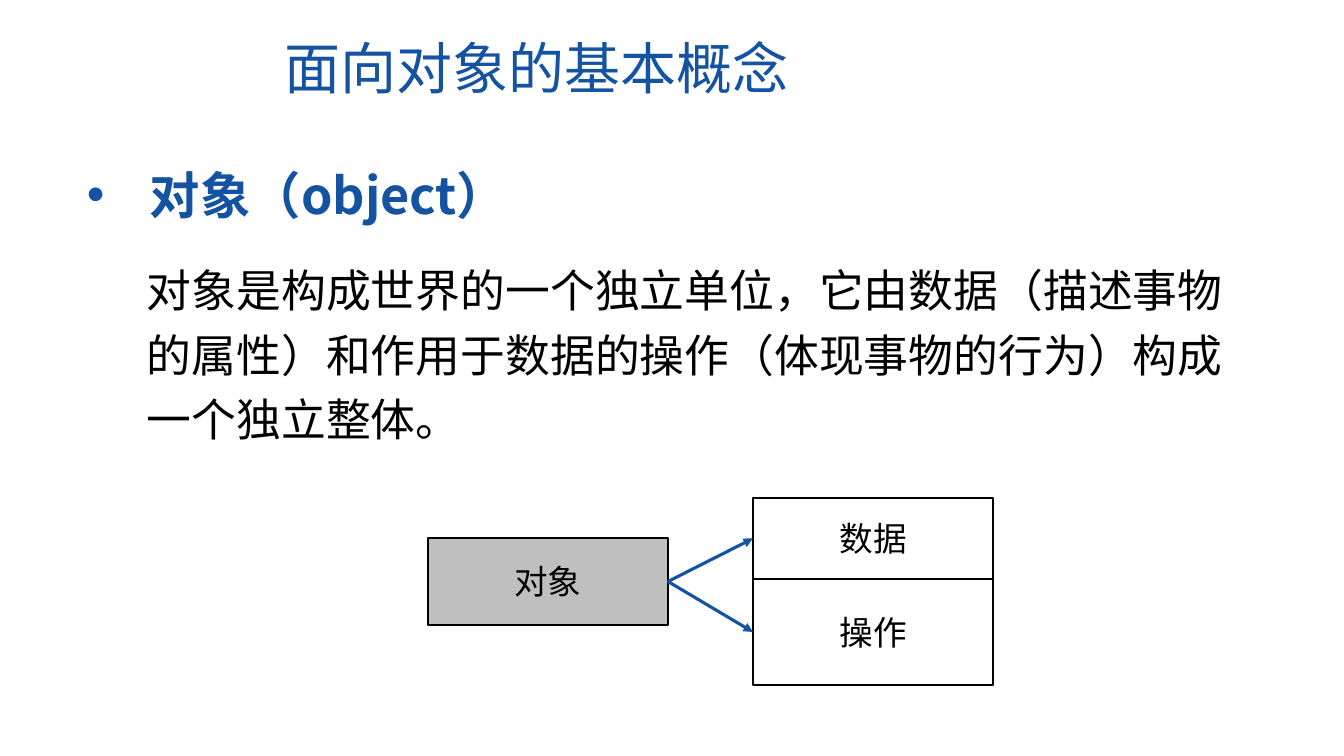
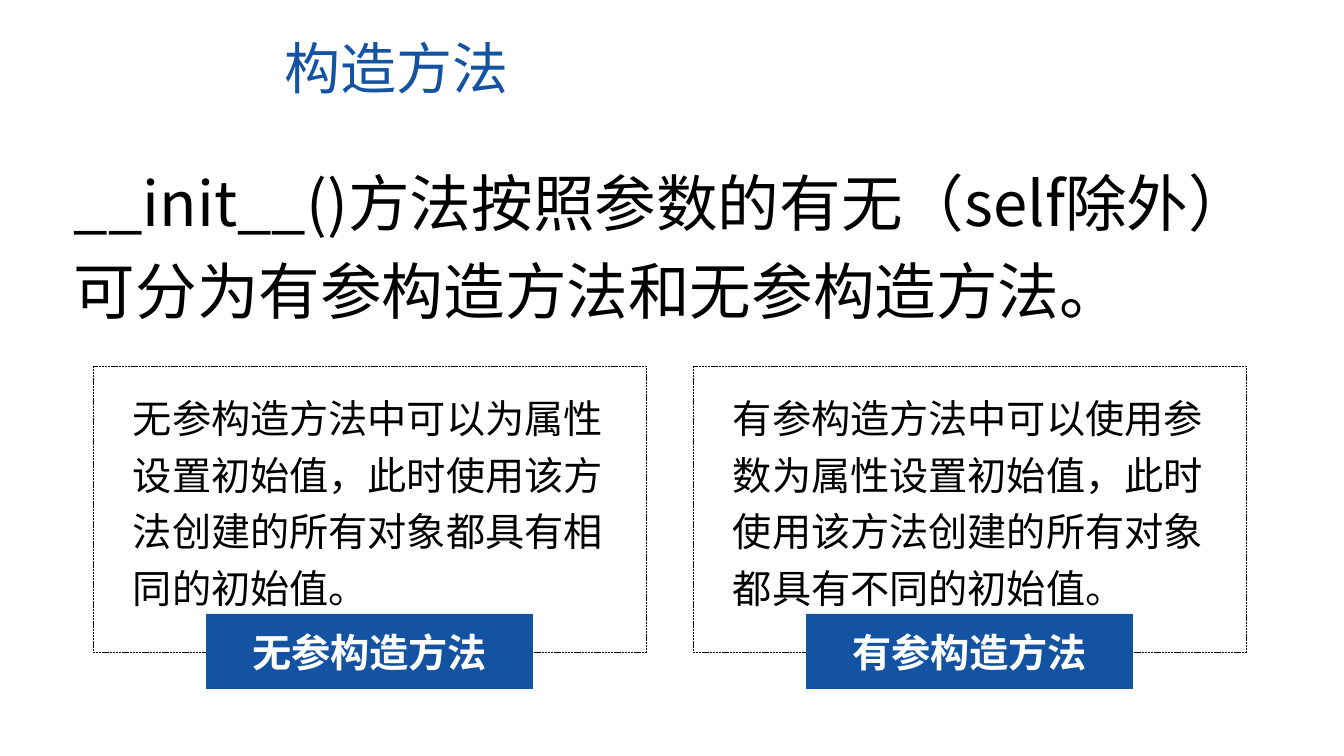
from pptx import Presentation
from pptx.dml.color import RGBColor
from pptx.enum.dml import MSO_LINE
from pptx.enum.shapes import MSO_CONNECTOR, MSO_SHAPE
from pptx.enum.text import MSO_ANCHOR as ANCHOR, PP_ALIGN as ALIGN
from pptx.oxml.ns import qn
from pptx.util import Pt
from lxml.etree import SubElement

PX = 9071  # EMU in one px
BLUE, BLACK, WHITE, GREY = "1353A2", "000000", "FFFFFF", "BFBFBF"
FONT = "Noto Sans CJK SC"
rgb = RGBColor.from_string


def box(s, x, y, w, h, fill=None, line=None, shape=True):
    """Add a rectangle, or a plain text box, at a place in px."""
    place = [v * PX for v in (x, y, w, h)]
    if not shape:
        return s.shapes.add_textbox(*place)
    sp = s.shapes.add_shape(MSO_SHAPE.RECTANGLE, *place)
    sp.shadow.inherit = False
    if fill:
        sp.fill.solid()
        sp.fill.fore_color.rgb = rgb(fill)
    else:
        sp.fill.background()
    if line:
        sp.line.color.rgb = rgb(BLACK)
        sp.line.width = Pt(line)
    else:
        sp.line.fill.background()
    return sp


def write(sp, text, size, color=BLACK, bold=False, center=False, spacing=1.0, font=FONT):
    """Put one paragraph of one run into a shape."""
    tf = sp.text_frame
    tf.word_wrap = True
    tf.vertical_anchor = ANCHOR.MIDDLE if center else ANCHOR.TOP
    p = tf.paragraphs[0]
    p.alignment = ALIGN.CENTER if center else ALIGN.LEFT
    p.line_spacing = spacing
    r = p.add_run()
    r.text = text
    r.font.size = Pt(size)
    r.font.bold = bold
    r.font.color.rgb = rgb(color)
    r.font.name = font
    rPr = r._r.get_or_add_rPr()
    rPr.set("lang", "zh-CN")
    SubElement(rPr, qn("a:ea")).set("typeface", FONT)
    return p


prs = Presentation()
prs.slide_width, prs.slide_height = 1344 * PX, 756 * PX

# Slides with their shared title
slides = []
for title in ("面向对象的基本概念", "构造方法"):
    s = prs.slides.add_slide(prs.slide_layouts[6])
    write(box(s, 275, 29, 593, 78, shape=False), title, 40, BLUE)
    slides.append(s)
concept, constructor = slides

# Slide 1: definition of an object
write(box(concept, 137, 247, 1109, 201, shape=False),
      "对象是构成世界的一个独立单位，它由数据（描述事物的属性）和作用于数据的操作"
      "（体现事物的行为）构成一个独立整体。", 32, spacing=1.2, font="Calibri")
p = write(box(concept, 77, 159, 806, 72, shape=False), "对象（object）", 36, BLUE, bold=True)
pPr = p._p.get_or_add_pPr()
pPr.set("marL", str(63 * PX))
pPr.set("indent", str(-63 * PX))
SubElement(pPr, qn("a:buFont")).set("typeface", "Arial")
SubElement(pPr, qn("a:buChar")).set("char", "•")

# Slide 1: an object is made of data and operations
whole = box(concept, 428, 538, 240, 87, GREY, 1)
write(whole, "对象", 24, center=True)
for text, y, h in (("数据", 498, 81), ("操作", 579, 106)):
    part = box(concept, 753, y, 240, h, line=1.5)
    write(part, text, 24, center=True)
    arrow = concept.shapes.add_connector(MSO_CONNECTOR.STRAIGHT, 0, 0, 0, 0)
    arrow.begin_connect(whole, 3)
    arrow.end_connect(part, 1)
    arrow.line.color.rgb = rgb(BLUE)
    arrow.line.width = Pt(2.25)
    SubElement(arrow.line._get_or_add_ln(), qn("a:tailEnd")).set("type", "triangle")
    SubElement(arrow._element.spPr, qn("a:effectLst"))

# Slide 2: introduction
write(box(constructor, 64, 145, 1239, 180, shape=False),
      "__init__()方法按照参数的有无（self除外）可分为有参构造方法和无参构造方法。",
      44, spacing=1.2)

# Slide 2: two kinds of constructor, side by side
kinds = (
    ("无参构造方法", "无参构造方法中可以为属性设置初始值，此时使用该方法创建的所有对象都具有相同的初始值。"),
    ("有参构造方法", "有参构造方法中可以使用参数为属性设置初始值，此时使用该方法创建的所有对象都具有不同的初始值。"),
)
for i, (label, text) in enumerate(kinds):
    x = 93 + 600 * i
    frame = box(constructor, x, 366, 553, 286, line=0.5)
    frame.line.dash_style = MSO_LINE.SQUARE_DOT
    write(box(constructor, x + 113, 614, 327, 75, BLUE), label, 28, WHITE, bold=True, center=True)
    write(box(constructor, x + 30, 380, 494, 238, shape=False), text, 28, spacing=1.2)

prs.save("out.pptx")
